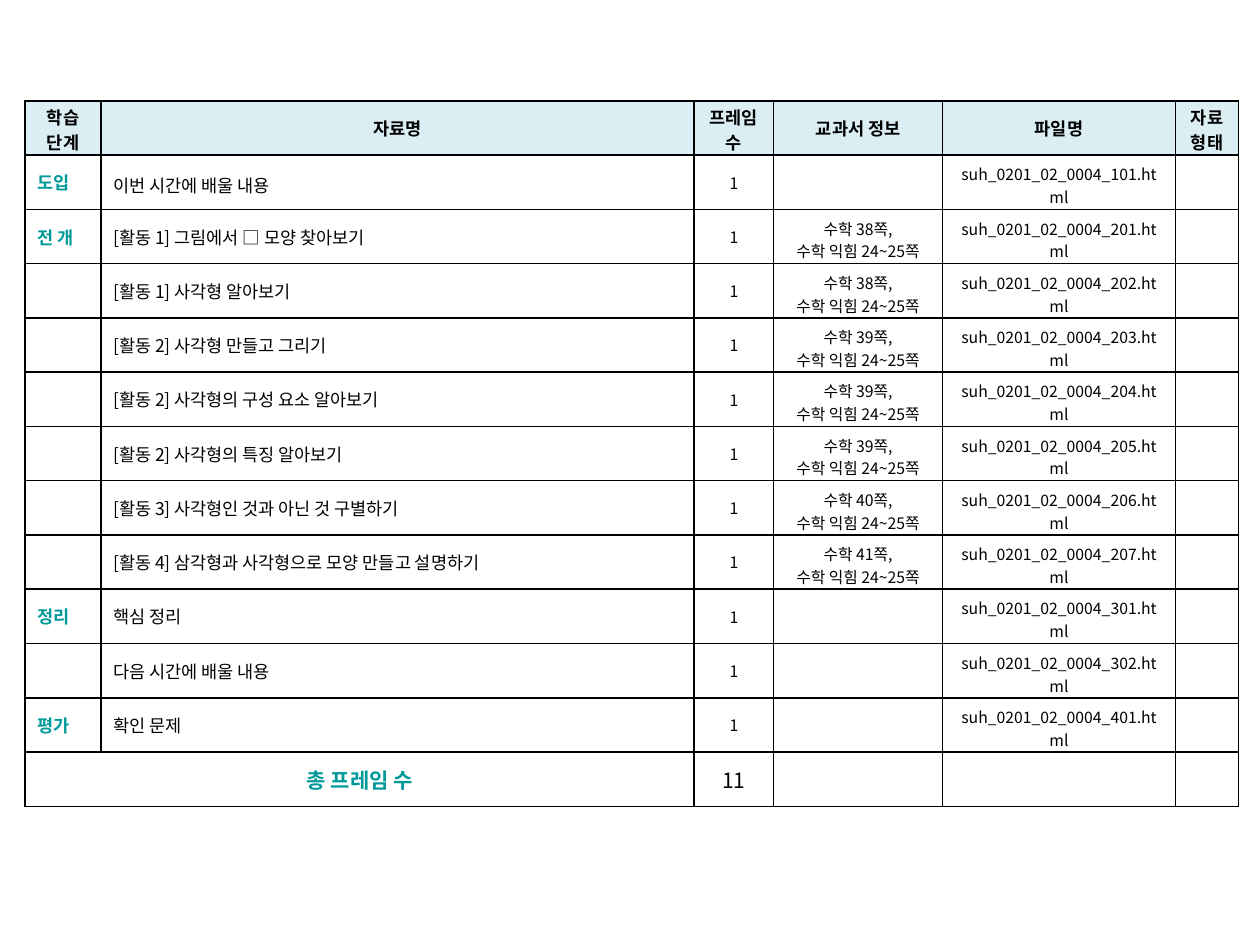
import dataclasses

import lxml.etree
import pptx
import pptx.dml.color
import pptx.enum.text
import pptx.oxml.ns
import pptx.util

Inches = pptx.util.Inches
Pt = pptx.util.Pt
ALIGN = pptx.enum.text.PP_ALIGN
qn = pptx.oxml.ns.qn

FONT = "Noto Sans CJK KR"
BLACK, TEAL, HEADER_FILL = "000000", "009999", "DBEEF4"
COL_WIDTHS = [0.6, 4.71, 0.63, 1.34, 1.85, 0.5]
TABLE_HEIGHT = 5.6


@dataclasses.dataclass
class Style:
    size: float
    color: str = BLACK
    bold: bool = False
    align: ALIGN | None = ALIGN.CENTER
    spacing: float | None = None
    fill: str | None = None
    top: float = 0.05
    bottom: float = 0.05


@dataclasses.dataclass
class Lesson:
    stage: str
    name: str
    page: int | None
    file_no: int


HEADER = Style(10, bold=True, fill=HEADER_FILL)
# Two-line cells need tighter insets to stay within the row height
HEADER_TWO_LINES = dataclasses.replace(HEADER, top=0.02, bottom=0)
STAGE = Style(10, TEAL, True, ALIGN.JUSTIFY)
NAME = Style(10, align=None)
FIRST_NAME = Style(10, align=ALIGN.JUSTIFY, spacing=1.2)
COUNT = Style(9)
DETAIL = Style(9, bottom=0)
TOTAL_LABEL = Style(12, TEAL, True)
TOTAL = Style(12)

HEADINGS = [
    ("학습 단계", HEADER_TWO_LINES),
    ("자료명", HEADER),
    ("프레임 수", HEADER_TWO_LINES),
    ("교과서 정보", HEADER),
    ("파일명", HEADER),
    ("자료\n형태", HEADER_TWO_LINES),
]
LESSONS = [
    Lesson("도입", "이번 시간에 배울 내용", None, 101),
    Lesson("전 개", "[활동 1] 그림에서 □ 모양 찾아보기", 38, 201),
    Lesson("", "[활동 1] 사각형 알아보기", 38, 202),
    Lesson("", "[활동 2] 사각형 만들고 그리기", 39, 203),
    Lesson("", "[활동 2] 사각형의 구성 요소 알아보기", 39, 204),
    Lesson("", "[활동 2] 사각형의 특징 알아보기", 39, 205),
    Lesson("", "[활동 3] 사각형인 것과 아닌 것 구별하기", 40, 206),
    Lesson("", "[활동 4] 삼각형과 사각형으로 모양 만들고 설명하기", 41, 207),
    Lesson("정리", "핵심 정리", None, 301),
    Lesson("", "다음 시간에 배울 내용", None, 302),
    Lesson("평가", "확인 문제", None, 401),
]


def rgb(color: str) -> pptx.dml.color.RGBColor:
    return pptx.dml.color.RGBColor.from_string(color)


def add_borders(cell) -> None:
    tcPr = cell._tc.get_or_add_tcPr()
    for side in ("a:lnL", "a:lnR", "a:lnT", "a:lnB"):
        ln = lxml.etree.SubElement(tcPr, qn(side), w=str(Pt(1)))
        fill = lxml.etree.SubElement(ln, qn("a:solidFill"))
        lxml.etree.SubElement(fill, qn("a:srgbClr"), val=BLACK)


def write_cell(cell, text: str, style: Style) -> None:
    cell.vertical_anchor = pptx.enum.text.MSO_ANCHOR.MIDDLE
    cell.margin_left = cell.margin_right = Inches(0.1)
    cell.margin_top, cell.margin_bottom = Inches(style.top), Inches(style.bottom)
    if style.fill:
        cell.fill.solid()
        cell.fill.fore_color.rgb = rgb(style.fill)
    else:
        cell.fill.background()

    tf = cell.text_frame
    for i, line in enumerate(text.split("\n")):
        p = tf.add_paragraph() if i else tf.paragraphs[0]
        if style.align is not None:
            p.alignment = style.align
        if style.spacing:
            p.line_spacing = style.spacing
        if not line:
            # Keeps an empty cell from stretching its row
            lxml.etree.SubElement(p._p, qn("a:endParaRPr"), sz=str(int(style.size * 100)))
            continue
        r = p.add_run()
        r.text = line
        r.font.size = Pt(style.size)
        r.font.bold = style.bold
        r.font.color.rgb = rgb(style.color)
        r.font.name = FONT
        lxml.etree.SubElement(r._r.get_or_add_rPr(), qn("a:ea"), typeface=FONT)


def lesson_row(lesson: Lesson, name_style: Style) -> list[tuple[str, Style]]:
    pages = f"수학 {lesson.page}쪽,\n수학 익힘 24~25쪽" if lesson.page else ""
    return [
        (lesson.stage, STAGE),
        (lesson.name, name_style),
        ("1", COUNT),
        (pages, DETAIL),
        (f"suh_0201_02_0004_{lesson.file_no}.html", DETAIL),
        ("", COUNT),
    ]


def main() -> None:
    prs = pptx.Presentation()
    prs.slide_width, prs.slide_height = Inches(10), Inches(7.5)
    s = prs.slides.add_slide(prs.slide_layouts[6])

    # Row contents: headings, lessons, total
    rows = [HEADINGS]
    for i, lesson in enumerate(LESSONS):
        rows.append(lesson_row(lesson, NAME if i else FIRST_NAME))
    rows.append([("총 프레임 수", TOTAL_LABEL), ("", TOTAL),
                 (str(len(LESSONS)), TOTAL)] + [("", COUNT)] * 3)

    # Table grid
    table = s.shapes.add_table(
        len(rows), len(COL_WIDTHS), Inches(0.2), Inches(0.8),
        Inches(sum(COL_WIDTHS)), Inches(TABLE_HEIGHT)).table
    table.first_row = table.horz_banding = False
    for column, width in zip(table.columns, COL_WIDTHS):
        column.width = Inches(width)
    for row in table.rows:
        row.height = Inches(TABLE_HEIGHT / len(rows))

    # Cells
    last = len(rows) - 1
    table.cell(last, 0).merge(table.cell(last, 1))
    for i, row in enumerate(rows):
        for j, (text, style) in enumerate(row):
            cell = table.cell(i, j)
            add_borders(cell)
            write_cell(cell, text, style)

    prs.save("out.pptx")


if __name__ == "__main__":
    main()
